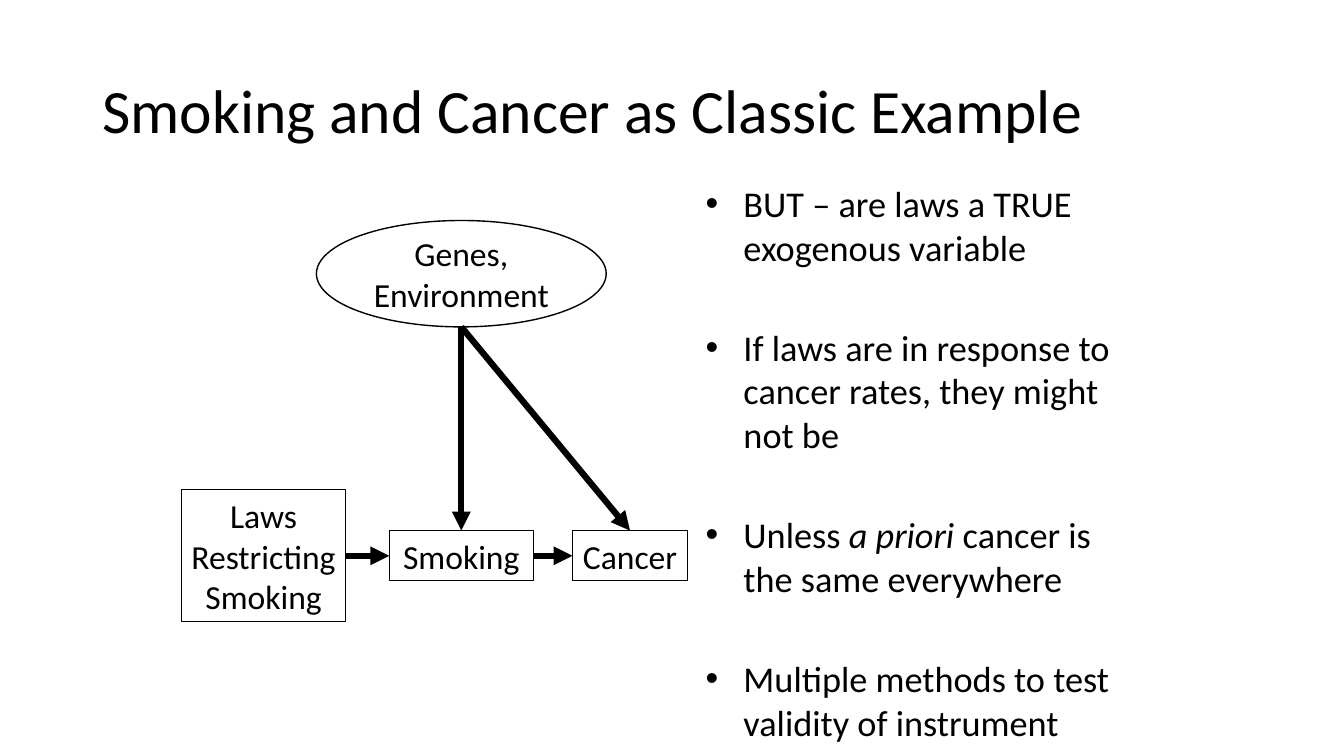
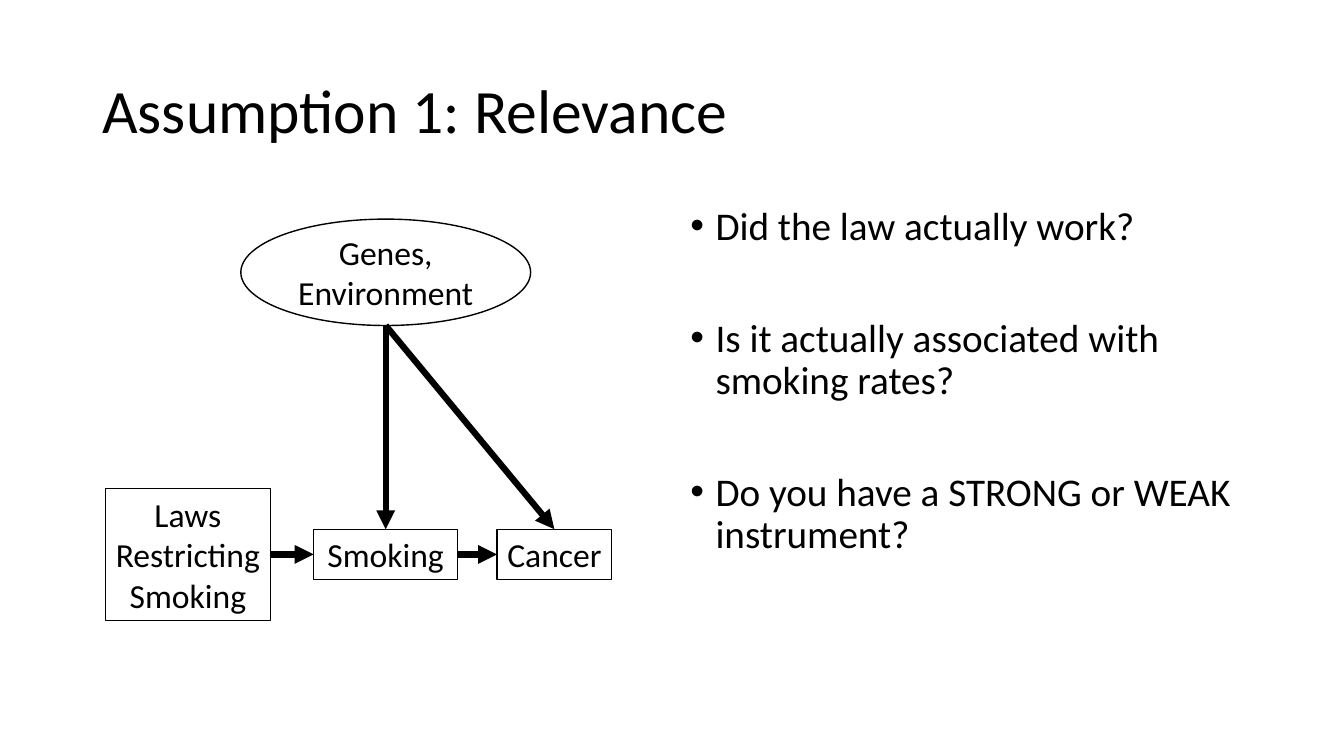
from lxml import etree
from pptx import Presentation
from pptx.dml.color import RGBColor
from pptx.enum.shapes import MSO_CONNECTOR as LINK, MSO_SHAPE as SHAPE
from pptx.enum.text import MSO_ANCHOR as ANCHOR, PP_ALIGN as ALIGN
from pptx.oxml.ns import qn
from pptx.util import Pt

INK = RGBColor.from_string("000000")
PAPER = RGBColor.from_string("FFFFFF")

# name: text, shape, left, top, width, height, line width
NODES = {
    "smoking": ("Smoking", SHAPE.RECTANGLE, 278, 379, 103, 36, 0.75),
    "cancer": ("Cancer", SHAPE.RECTANGLE, 409, 379, 82, 36, 0.75),
    "genes": ("Genes, Environment", SHAPE.OVAL, 226, 157.5, 207, 76, 1),
    "laws": ("Laws\nRestricting\nSmoking", SHAPE.RECTANGLE, 129.5, 350, 117.5, 94, 0.75),
}
# start, end, side joined at the end
ARROWS = [
    ("laws", "smoking", 1),
    ("smoking", "cancer", 1),
    ("genes", "smoking", 0),
    ("genes", "cancer", 0),
]
# Asterisks in a bullet set off italic words
SLIDES = [
    {
        "title": "Smoking and Cancer as Classic Example",
        "shift": (0, 0),
        "box": (497, 126, 318, 356),
        "size": 25.9,
        "indent": 27,
        "format": {"line_spacing": 1.0, "space_before": Pt(40.5)},
        "bullets": [
            "BUT – are laws a TRUE exogenous variable",
            "If laws are in response to cancer rates, they might not be",
            "Unless *a priori *cancer is the same everywhere",
            "Multiple methods to test validity of instrument",
        ],
    },
    {
        "title": "Assumption 1: Relevance",
        "shift": (-54, -1),
        "box": (486, 144, 408, 343),
        "size": 28,
        "indent": 18,
        "format": {"line_spacing": 0.9, "space_before": Pt(49.5)},
        "bullets": [
            "Did the law actually work?",
            "Is it actually associated with smoking rates?",
            "Do you have a STRONG or WEAK instrument?",
        ],
    },
]


def write(frame, lines, size, **form):
    """Fill a frame with one paragraph a line, each set to the given format."""
    frame.word_wrap = True
    for i, line in enumerate(lines):
        para = frame.paragraphs[0] if i == 0 else frame.add_paragraph()
        for key, val in form.items():
            setattr(para, key, val)
        if i == 0:
            para.space_before = Pt(0)
        for j, part in enumerate(line.split("*")):
            run = para.add_run()
            run.text = part
            run.font.name, run.font.size = "Calibri", Pt(size)
            run.font.color.rgb = INK
            if j % 2:
                run.font.italic = True


prs = Presentation()
prs.slide_width, prs.slide_height = Pt(960), Pt(540)

for data in SLIDES:
    slide = prs.slides.add_slide(prs.slide_layouts[6])
    shapes = slide.shapes

    title = shapes.add_textbox(Pt(66), Pt(29), Pt(828), Pt(104.5)).text_frame
    title.vertical_anchor = ANCHOR.MIDDLE
    write(title, [data["title"]], 44, line_spacing=0.9)

    dx, dy = data["shift"]
    nodes = {}
    for name, (text, kind, x, y, w, h, line) in NODES.items():
        node = shapes.add_shape(kind, Pt(x + dx), Pt(y + dy), Pt(w), Pt(h))
        node.shadow.inherit = False
        node.fill.solid()
        node.fill.fore_color.rgb = PAPER
        node.line.color.rgb, node.line.width = INK, Pt(line)
        node.text_frame.vertical_anchor = ANCHOR.MIDDLE
        write(node.text_frame, text.split("\n"), 24, alignment=ALIGN.CENTER)
        node.text_frame.word_wrap = kind == SHAPE.OVAL
        nodes[name] = node

    for start, end, side in ARROWS:
        node = nodes[start]
        x, y = node.left + node.width // 2, node.top + node.height
        arrow = shapes.add_connector(LINK.STRAIGHT, x, y, x, y)
        if start != "genes":
            arrow.begin_connect(node, 3)
        arrow.end_connect(nodes[end], side)
        arrow.line.color.rgb, arrow.line.width = INK, Pt(4.5)
        etree.SubElement(arrow.line._get_or_add_ln(), qn("a:tailEnd"), type="triangle")
        etree.SubElement(arrow._element.spPr, qn("a:effectLst"))

    body = shapes.add_textbox(*map(Pt, data["box"])).text_frame
    write(body, data["bullets"], data["size"], **data["format"])
    for para in body.paragraphs:
        props = para._p.get_or_add_pPr()
        props.set("marL", str(Pt(data["indent"])))
        props.set("indent", str(-Pt(data["indent"])))
        etree.SubElement(props, qn("a:buFont"), typeface="Arial")
        etree.SubElement(props, qn("a:buChar"), char="•")

prs.save("out.pptx")
